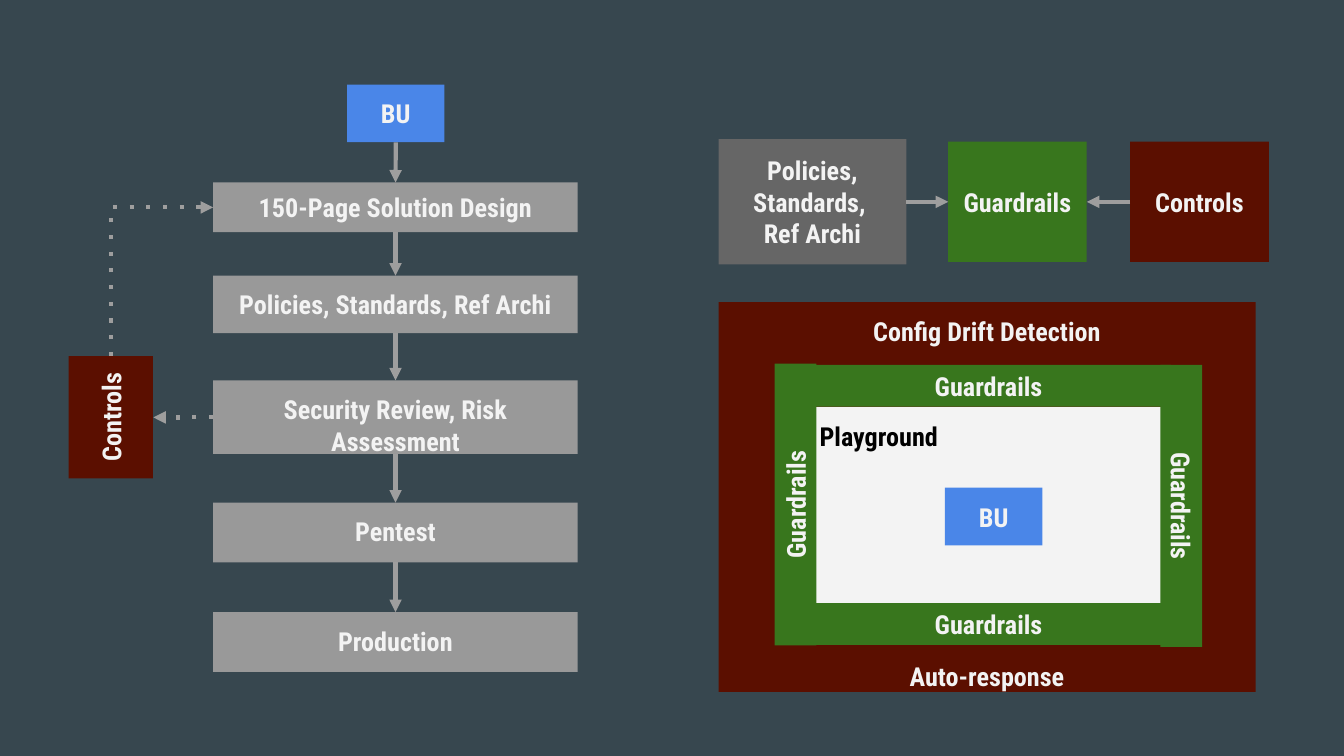
"""Build a slide that sets a gated delivery flow beside a guardrails playground."""
from lxml import etree
from pptx import Presentation
from pptx.dml.color import RGBColor
from pptx.enum.dml import MSO_THEME_COLOR
from pptx.enum.shapes import MSO_CONNECTOR, MSO_SHAPE
from pptx.enum.text import MSO_ANCHOR, PP_ALIGN
from pptx.oxml.ns import qn
from pptx.util import Cm, Pt

RECT = MSO_SHAPE.RECTANGLE
LINE, BENT = MSO_CONNECTOR.STRAIGHT, MSO_CONNECTOR.ELBOW
TOP, MID = MSO_ANCHOR.TOP, MSO_ANCHOR.MIDDLE
LEFT, CENTER = PP_ALIGN.LEFT, PP_ALIGN.CENTER
NORTH, WEST, SOUTH, EAST = range(4)

BACK, PALE, BLACK, WIRE = "37474F", "F3F3F3", "000000", "9E9E9E"
BLUE, GREY, DARK, RED, GREEN = "4A86E8", "999999", "666666", "5B0F00", "38761D"

FLOW_X, FLOW_W = 4.03, 6.89
FLOW = [
    ("150-Page Solution Design", 3.45, 0.94, MID),
    ("Policies, Standards, Ref Archi", 5.21, 1.09, MID),
    ("Security Review, Risk Assessment", 7.19, 1.39, TOP),
    ("Pentest", 9.5, 1.13, TOP),
    ("Production", 11.57, 1.13, TOP),
]
BU_SIZE = (1.84, 1.09)
GATE_Y, GATE_W, GATE_H = 2.68, 2.62, 2.27
PLAY_X, PLAY_Y, PLAY_W, PLAY_H = 15.24, 7.69, 6.89, 3.71
BAR, SIDE = 0.79, 5.33
SIDES = [(19.66, 9.17, 90), (12.37, 9.14, 270)]
FRAME = dict.fromkeys(
    ("margin_left", "margin_top", "margin_right", "margin_bottom"), Cm(0.25))
FONT = {"name": "Roboto Condensed", "size": Pt(14), "bold": True}


def apply(item, values):
    """Set each named value on an item."""
    for name, value in values.items():
        setattr(item, name, value)


def paint(fill, color):
    """Give a fill one solid colour."""
    fill.solid()
    fill.fore_color.rgb = RGBColor.from_string(color)


def box(slide, lines, area, color, anchor=MID, align=CENTER, ink=PALE, turn=0, gap=0):
    """Add a filled rectangle with its lines of text."""
    shape = slide.shapes.add_shape(RECT, *map(Cm, area))
    apply(shape, {"rotation": turn})
    shape.shadow.inherit = False
    shape.line.fill.background()
    paint(shape.fill, color)
    frame = shape.text_frame
    apply(frame, FRAME | {"word_wrap": True, "vertical_anchor": anchor})
    for index, text in enumerate(lines):
        para = frame.add_paragraph() if index else frame.paragraphs[0]
        apply(para, {"alignment": align, "space_before": Pt(gap if index else 0)})
        run = para.add_run()
        run.text = text
        apply(run.font, FONT)
        paint(run.font.fill, ink)
    return shape


def wire(slide, kind, ends, dash=None):
    """Add a grey arrow between two points."""
    link = slide.shapes.add_connector(kind, *map(Cm, ends))
    link.line.width = Pt(2.25)
    paint(link.line.fill, WIRE)
    props = link._element.spPr
    stroke = props.find(qn("a:ln"))
    if dash:
        etree.SubElement(stroke, qn("a:prstDash"), val=dash)
    etree.SubElement(stroke, qn("a:tailEnd"), type="triangle")
    etree.SubElement(props, qn("a:effectLst"))
    return link


def join(slide, start, out, stop, into):
    """Join two boxes side to side."""
    link = wire(slide, LINE, (0, 0, 0, 0))
    link.begin_connect(start, out)
    link.end_connect(stop, into)


def draw_flow(slide):
    """Draw the step chain and its controls loop."""
    steps = [box(slide, ["BU"], (6.56, 1.6, *BU_SIZE), BLUE)]
    for text, top, height, anchor in FLOW:
        area = (FLOW_X, top, FLOW_W, height)
        steps.append(box(slide, [text], area, GREY, anchor))
    for start, stop in zip(steps, steps[1:]):
        join(slide, start, SOUTH, stop, NORTH)
    box(slide, ["Controls"], (0.94, 7.09, 2.31, 1.59), RED, turn=270)
    check = wire(slide, BENT, (FLOW_X, 7.88, 2.9, 7.89), "dot")
    check.begin_connect(steps[3], WEST)
    loop = wire(slide, BENT, (1.66, 4.36, 4.47, 6.29), "dot")
    props = loop._element.spPr
    props.find(qn("a:xfrm")).set("rot", str(270 * 60000))
    props.find(qn("a:prstGeom")).set("prst", "bentConnector2")


def draw_gates(slide):
    """Draw the policies and controls that feed the guardrails."""
    rules = box(slide, ["Policies, Standards, ", "Ref Archi"],
                (13.58, 2.63, 3.55, 2.37), DARK)
    rails, checks = [
        box(slide, [text], (left, GATE_Y, GATE_W, GATE_H), color)
        for text, left, color in [("Guardrails", 17.92, GREEN), ("Controls", 21.36, RED)]
    ]
    join(slide, rules, EAST, rails, WEST)
    join(slide, checks, WEST, rails, EAST)


def draw_play(slide):
    """Draw the playground inside its guardrails."""
    box(slide, ["Config Drift Detection", "Auto-response"],
        (13.58, 5.71, 10.15, 7.37), RED, TOP, gap=168)
    box(slide, ["Playground"], (PLAY_X, PLAY_Y, PLAY_W, PLAY_H), PALE, TOP, LEFT, BLACK)
    box(slide, ["BU"], (17.86, 9.22, *BU_SIZE), BLUE)
    bars = [(PLAY_X, top, PLAY_W, 0) for top in (PLAY_Y + PLAY_H, PLAY_Y - BAR)]
    bars += [(left, top, SIDE, turn) for left, top, turn in SIDES]
    for left, top, width, turn in bars:
        box(slide, ["Guardrails"], (left, top, width, BAR), GREEN, turn=turn)


def main():
    """Build and save the slide."""
    deck = Presentation()
    apply(deck, {"slide_width": Cm(25.4), "slide_height": Cm(14.29)})
    slide = deck.slides.add_slide(deck.slide_layouts[6])
    paint(slide.background.fill, BACK)
    draw_flow(slide)
    draw_gates(slide)
    draw_play(slide)
    deck.save("out.pptx")


if __name__ == "__main__":
    main()
